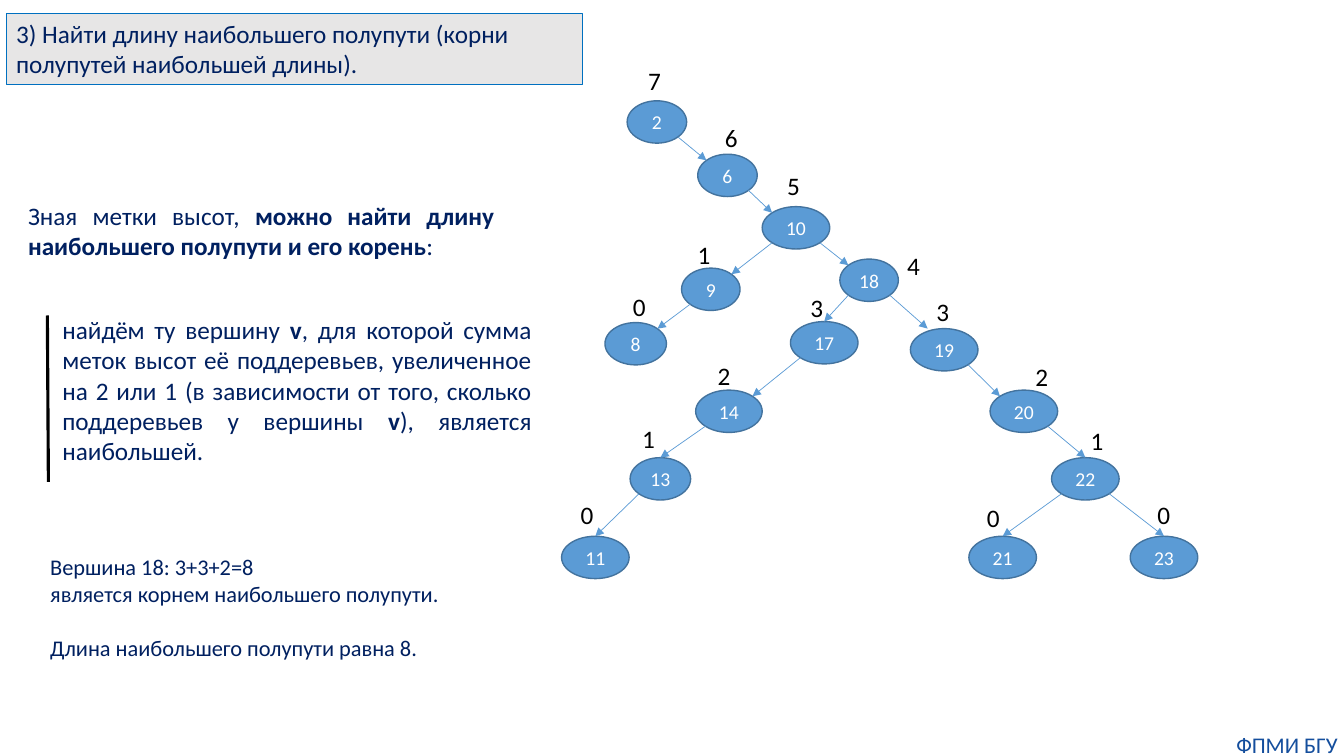
from dataclasses import dataclass
from math import sqrt

from lxml.etree import SubElement
from pptx import Presentation
from pptx.dml.color import RGBColor
from pptx.enum.shapes import MSO_CONNECTOR, MSO_SHAPE
from pptx.enum.text import MSO_ANCHOR, MSO_AUTO_SIZE, PP_ALIGN
from pptx.oxml.ns import qn
from pptx.util import Inches, Pt


@dataclass(frozen=True)
class Theme:
    font: str = "Calibri"
    navy: str = "002060"
    black: str = "000000"
    white: str = "FFFFFF"
    node: str = "5B9BD5"
    node_border: str = "43739E"
    heading_fill: str = "E7E6E6"
    heading_border: str = "0070C0"
    footer: str = "144E9D"
    text_size: int = 18
    answer_size: int = 16
    node_size: int = 14


THEME = Theme()

HEADING = "3) Найти длину наибольшего полупути (корни полупутей наибольшей длины)."
HEADING_BOX = (0.06, 0.13, 5.72, 0.71)

INTRO = [[("Зная метки высот, ", False),
          ("можно найти длину наибольшего полупути и его корень", True),
          (":", False)]]
RULE = [[("найдём ту вершину ", False), ("v", True),
         (", для которой сумма меток высот её поддеревьев, увеличенное на 2 или 1 "
          "(в зависимости от того, сколько поддеревьев у вершины ", False),
         ("v", True), ("), является наибольшей.", False)]]
ANSWER = [[("Вершина 18: 3+3+2=8", False)],
          [("является корнем наибольшего полупути.", False)],
          [("Длина наибольшего полупути равна 8.", False)]]
FOOTER = [[("ФПМИ БГУ", False)]]

NODE_HEIGHT = 0.42
# vertex: left, top, width, height label, label left, label top
VERTICES = {
    2: (6.22, 1.0, 0.59, 7, 6.33, 0.6),
    6: (6.92, 1.53, 0.59, 6, 7.09, 1.16),
    10: (7.56, 2.05, 0.67, 5, 7.71, 1.64),
    9: (6.76, 2.66, 0.58, 1, 6.82, 2.33),
    8: (6.0, 3.2, 0.61, 0, 6.18, 2.84),
    18: (8.33, 2.57, 0.58, 4, 8.9, 2.43),
    17: (7.84, 3.19, 0.67, 3, 7.94, 2.85),
    14: (6.9, 3.87, 0.66, 2, 7.02, 3.53),
    13: (6.25, 4.54, 0.6, 1, 6.27, 4.15),
    11: (5.57, 5.32, 0.67, 0, 5.66, 4.9),
    19: (9.03, 3.26, 0.67, 3, 9.19, 2.89),
    20: (9.82, 3.87, 0.67, 2, 10.17, 3.54),
    22: (10.43, 4.54, 0.67, 1, 10.72, 4.17),
    21: (9.61, 5.32, 0.67, 0, 9.69, 4.93),
    23: (11.21, 5.32, 0.67, 0, 11.38, 4.9),
}
CORNER_EDGES = [(2, 6), (6, 10), (10, 9), (10, 18), (9, 8), (17, 14), (19, 20)]
TOP_EDGES = [(18, 17), (14, 13), (13, 11), (20, 22), (22, 21), (22, 23)]
FREE_EDGE = (18, 19, (9.2, 3.26))


def rgb(color):
    return RGBColor.from_string(color)


def set_font(paragraph, size, color):
    paragraph.font.name = THEME.font
    paragraph.font.size = Pt(size)
    paragraph.font.color.rgb = rgb(color)


def paint(shape, fill, border, width):
    shape.fill.solid()
    shape.fill.fore_color.rgb = rgb(fill)
    shape.line.color.rgb = rgb(border)
    shape.line.width = Pt(width)


def add_text(slide, box, paragraphs, size, color, align=PP_ALIGN.LEFT, wrap=True):
    frame = slide.shapes.add_textbox(*map(Inches, box)).text_frame
    frame.word_wrap = wrap
    for index, runs in enumerate(paragraphs):
        paragraph = frame.add_paragraph() if index else frame.paragraphs[0]
        paragraph.alignment = align
        set_font(paragraph, size, color)
        for wording, bold in runs:
            run = paragraph.add_run()
            run.text = wording
            if bold:
                run.font.bold = True
    return frame


def add_line(slide, start, end, color, width, arrow=False):
    line = slide.shapes.add_connector(MSO_CONNECTOR.STRAIGHT, *map(Inches, start + end))
    line.line.color.rgb = rgb(color)
    line.line.width = Pt(width)
    if arrow:
        SubElement(line.line._get_or_add_ln(), qn("a:tailEnd"), type="triangle")
    SubElement(line._element.spPr, qn("a:effectLst"))


def rim_point(vertex, across, down):
    left, top, width = VERTICES[vertex][:3]
    return (left + width / 2 * (1 + across), top + NODE_HEIGHT / 2 * (1 + down))


def add_edge(slide, parent, child, end=None):
    diagonal = sqrt(0.5)
    side = diagonal if VERTICES[child][0] > VERTICES[parent][0] else -diagonal
    start = rim_point(parent, side, diagonal)
    add_line(slide, start, end or rim_point(child, -side, -diagonal), THEME.node, 0.5, True)


def add_vertex(slide, vertex):
    left, top, width, height_label, label_left, label_top = VERTICES[vertex]
    node = slide.shapes.add_shape(
        MSO_SHAPE.OVAL, *map(Inches, (left, top, width, NODE_HEIGHT)))
    node.shadow.inherit = False
    paint(node, THEME.node, THEME.node_border, 1)
    node.text_frame.text = str(vertex)
    node.text_frame.vertical_anchor = MSO_ANCHOR.MIDDLE
    paragraph = node.text_frame.paragraphs[0]
    paragraph.alignment = PP_ALIGN.CENTER
    set_font(paragraph, THEME.node_size, THEME.white)
    add_text(slide, (label_left, label_top, 0.33, 0.4), [[(str(height_label), False)]],
             THEME.text_size, THEME.black, wrap=False)


def add_heading(slide):
    heading = slide.shapes.title
    heading.left, heading.top, heading.width, heading.height = map(Inches, HEADING_BOX)
    paint(heading, THEME.heading_fill, THEME.heading_border, 0.75)
    frame = heading.text_frame
    frame.text = HEADING
    frame.word_wrap = True
    frame.auto_size = MSO_AUTO_SIZE.NONE
    frame.vertical_anchor = MSO_ANCHOR.TOP
    frame.paragraphs[0].alignment = PP_ALIGN.LEFT
    set_font(frame.paragraphs[0], THEME.text_size, THEME.navy)


def main():
    deck = Presentation()
    deck.slide_width, deck.slide_height = Inches(13.33), Inches(7.5)
    slide = deck.slides.add_slide(deck.slide_layouts[5])

    add_heading(slide)
    for vertex in VERTICES:
        add_vertex(slide, vertex)
    for parent, child in CORNER_EDGES:
        add_edge(slide, parent, child)
    for parent, child in TOP_EDGES:
        add_edge(slide, parent, child, rim_point(child, 0, -1))
    add_edge(slide, *FREE_EDGE)

    add_text(slide, (0.18, 1.94, 4.82, 0.71), INTRO,
             THEME.text_size, THEME.navy, PP_ALIGN.JUSTIFY)
    add_text(slide, (0.52, 3.07, 4.85, 1.62), RULE,
             THEME.text_size, THEME.navy, PP_ALIGN.JUSTIFY)
    add_line(slide, (0.47, 3.13), (0.48, 4.78), THEME.black, 2.25)
    answer = add_text(slide, (0.4, 5.44, 4.7, 1.48), ANSWER, THEME.answer_size, THEME.navy)
    answer.paragraphs[-1].space_before = Pt(19.5)
    footer = add_text(slide, (12.2, 7.25, 1.13, 0.27), FOOTER,
                      THEME.answer_size, THEME.footer, PP_ALIGN.CENTER)
    footer.margin_left = footer.margin_right = footer.margin_top = footer.margin_bottom = 0

    deck.save("out.pptx")


if __name__ == "__main__":
    main()
